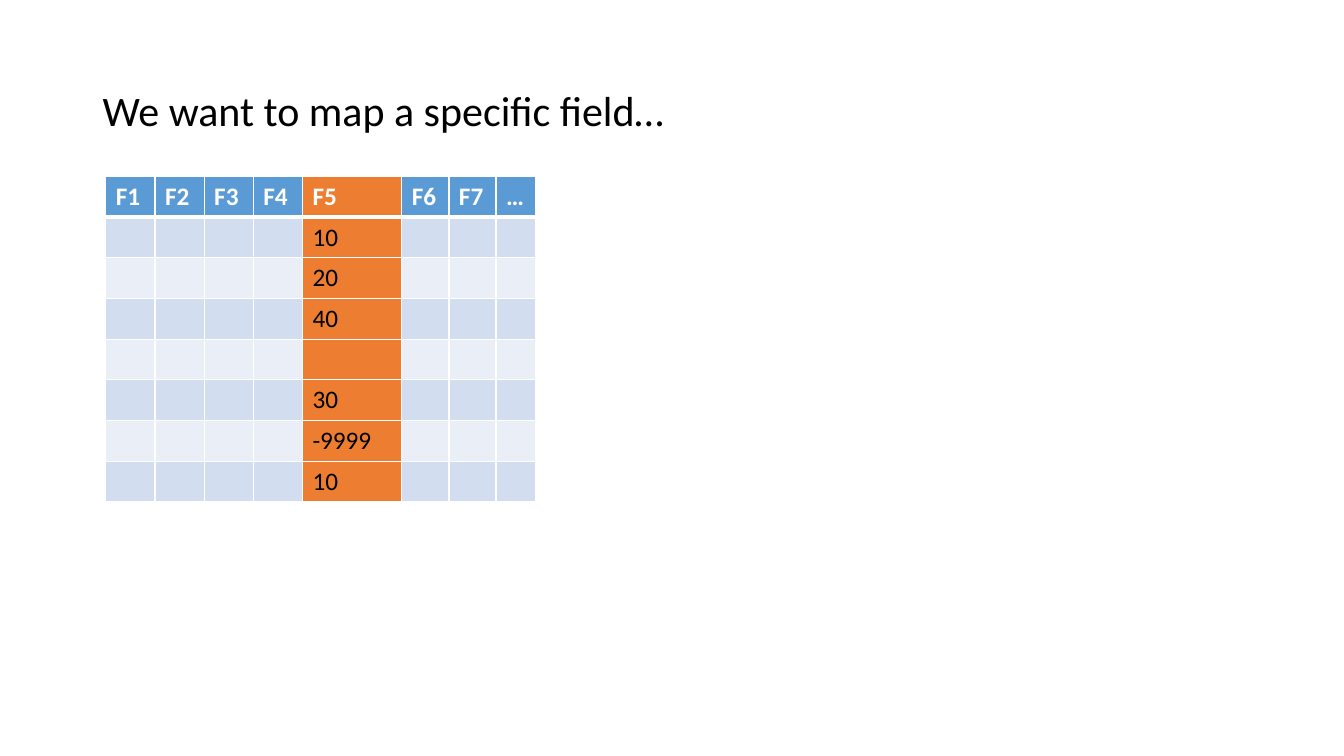
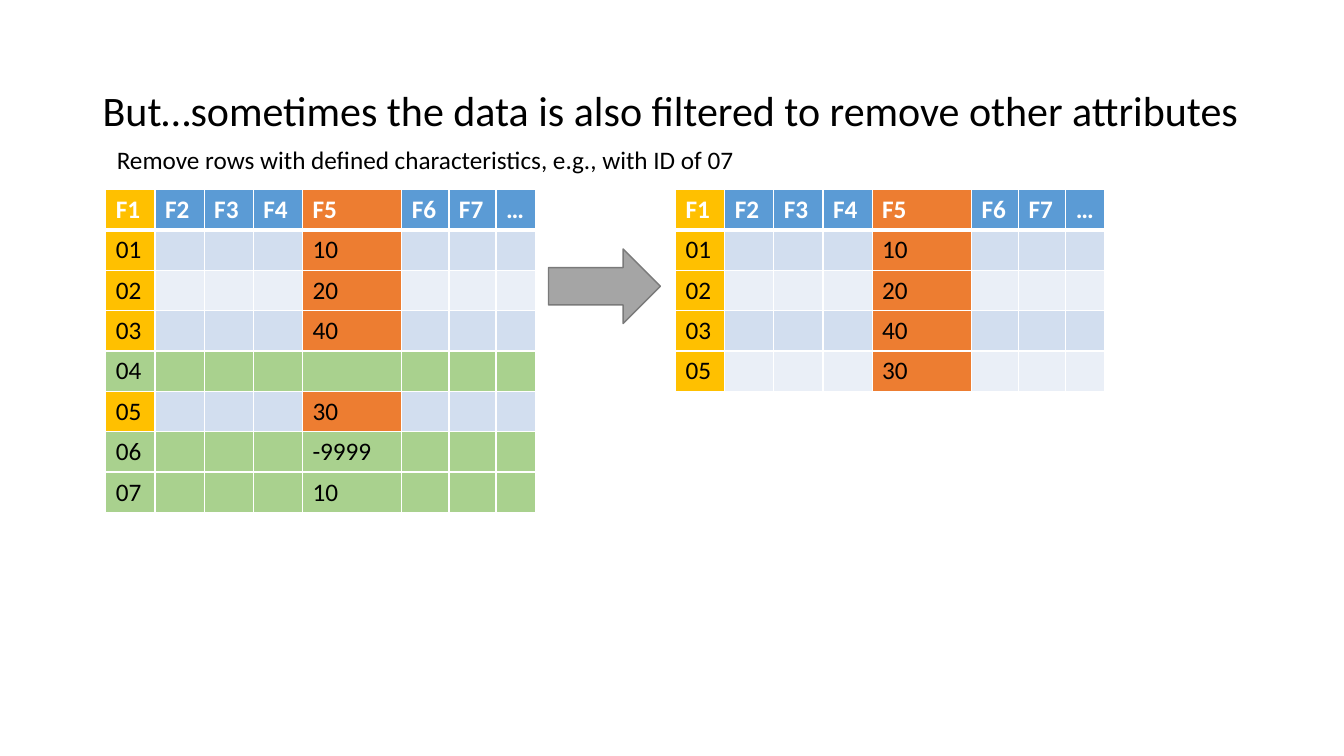
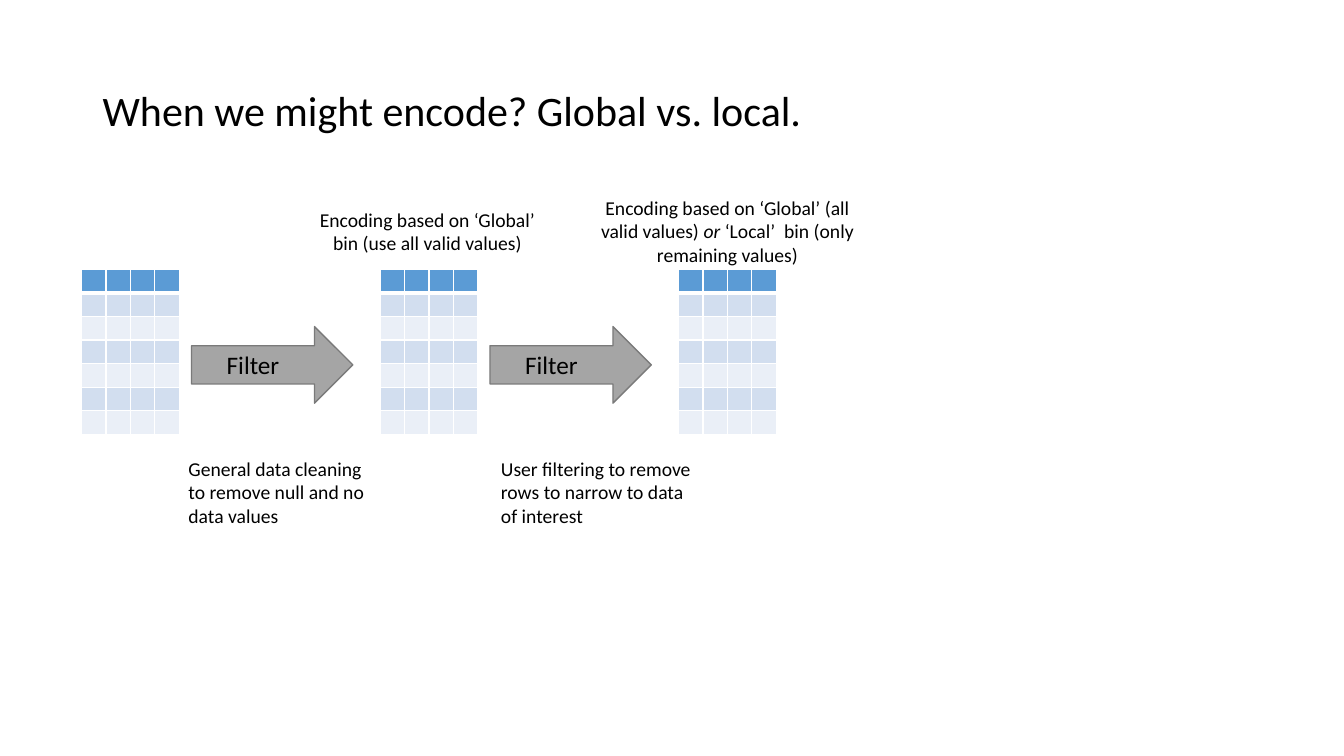
from collections import namedtuple

from lxml.etree import SubElement
from pptx import Presentation
from pptx.dml.color import RGBColor
from pptx.enum.shapes import MSO_SHAPE
from pptx.enum.text import MSO_ANCHOR, PP_ALIGN
from pptx.oxml.ns import qn
from pptx.util import Inches, Pt

# Shared look
COLORS = {
    "text": "000000", "white": "FFFFFF", "header": "5B9BD5",
    "band_dark": "D2DEEF", "band_light": "EAEFF7", "mapped": "ED7D31",
    "key": "FFC000", "removed": "A9D18E", "arrow": "A5A5A5", "arrow_line": "7A7A7A",
}
FONT = "Calibri"
TITLE_SIZE, BODY_SIZE, NOTE_SIZE, MINI_SIZE = 30, 18, 14, 8
SLIDE_WIDTH, SLIDE_HEIGHT = 13.33, 7.5

# Data table: column shares and contents
FIELDS = ["F1", "F2", "F3", "F4", "F5", "F6", "F7", "…"]
FIELD_WIDTHS = [0.49, 0.49, 0.49, 0.49, 0.99, 0.47, 0.47, 0.39]
KEY_COLUMN, MAPPED_COLUMN = 0, 4
VALUES = ["10", "20", "40", "", "30", "-9999", "10"]
IDS = [f"{number:02d}" for number in range(1, len(VALUES) + 1)]
REMOVED_IDS = {"04", "06", "07"}

Box = namedtuple("Box", "left top width height")


def within(box, left, top, width, height):
    """Place a part by its offset from the corner of a box."""
    return Box(box.left + left, box.top + top, width, height)


def lengths(box):
    return [Inches(length) for length in box]


def color(name):
    return RGBColor.from_string(COLORS[name])


def add_run(paragraph, text, size, color_name="text", bold=False, italic=False):
    run = paragraph.add_run()
    run.text = text
    font = run.font
    font.name, font.size, font.bold, font.italic = FONT, Pt(size), bold, italic
    font.color.rgb = color(color_name)


def add_text(slide, box, runs, size, align=PP_ALIGN.LEFT, anchor=MSO_ANCHOR.TOP):
    """Add a one-paragraph text box; runs are (text, italic) pairs."""
    frame = slide.shapes.add_textbox(*lengths(box)).text_frame
    frame.word_wrap = True
    frame.vertical_anchor = anchor
    paragraph = frame.paragraphs[0]
    paragraph.alignment = align
    for text, italic in runs:
        add_run(paragraph, text, size, italic=italic)
    return paragraph


def add_titled_slide(presentation, title):
    slide = presentation.slides.add_slide(presentation.slide_layouts[6])
    box = Box(0.92, 0.4, 11.5, 1.45)
    paragraph = add_text(slide, box, [(title, False)], TITLE_SIZE,
                         anchor=MSO_ANCHOR.MIDDLE)
    paragraph.line_spacing = 0.9
    return slide


def add_arrow(slide, box):
    arrow = slide.shapes.add_shape(MSO_SHAPE.RIGHT_ARROW, *lengths(box))
    arrow.shadow.inherit = False
    arrow.fill.solid()
    arrow.fill.fore_color.rgb = color("arrow")
    arrow.line.color.rgb = color("arrow_line")
    arrow.line.width = Pt(1)


def set_borders(cell, row):
    """Draw white borders, heavier between the header and the first row."""
    widths = {"a:lnL": 1, "a:lnR": 1, "a:lnT": 3 if row == 1 else 1,
              "a:lnB": 3 if row == 0 else 1}
    properties = cell._tc.get_or_add_tcPr()
    for position, (tag, width) in enumerate(widths.items()):
        line = SubElement(properties, qn(tag), w=str(Pt(width)))
        fill = SubElement(line, qn("a:solidFill"))
        SubElement(fill, qn("a:srgbClr"), val=COLORS["white"])
        properties.insert(position, line)


def add_grid(slide, box, rows, column_widths, size, fill_name):
    """Add a table; fill_name(row, column) names the fill of each cell."""
    table = slide.shapes.add_table(len(rows), len(column_widths), *lengths(box)).table
    table.horz_banding = False
    for column, width in zip(table.columns, column_widths):
        column.width = Inches(box.width * width / sum(column_widths))
    for row, texts in enumerate(rows):
        for column, text in enumerate(texts):
            cell = table.cell(row, column)
            cell.fill.solid()
            cell.fill.fore_color.rgb = color(fill_name(row, column))
            set_borders(cell, row)
            paragraph = cell.text_frame.paragraphs[0]
            if text:
                add_run(paragraph, text, size, "text" if row else "white", bold=row == 0)
            else:
                SubElement(paragraph._p, qn("a:endParaRPr"), sz=str(size * 100))


def banded_fill(row):
    if row == 0:
        return "header"
    return "band_dark" if row % 2 else "band_light"


def add_data_table(slide, box, records, show_ids=True):
    """Add the field table for (id, value) records."""
    rows = [FIELDS]
    for record_id, value in records:
        cells = [""] * len(FIELDS)
        cells[KEY_COLUMN] = record_id if show_ids else ""
        cells[MAPPED_COLUMN] = value
        rows.append(cells)

    def fill_name(row, column):
        if show_ids and rows[row][KEY_COLUMN] in REMOVED_IDS:
            return "removed"
        if column == MAPPED_COLUMN:
            return "mapped"
        if show_ids and column == KEY_COLUMN:
            return "key"
        return banded_fill(row)

    add_grid(slide, box, rows, FIELD_WIDTHS, BODY_SIZE, fill_name)


def add_mini_table(slide, box):
    rows, columns = 7, 4
    add_grid(slide, box, [[""] * columns] * rows, [1] * columns, MINI_SIZE,
             lambda row, column: banded_fill(row))


def add_filter_step(slide, box):
    add_arrow(slide, box)
    add_text(slide, within(box, 0.25, 0.18, 0.75, 0.4), [("Filter", False)], BODY_SIZE)


def build_field_slide(presentation):
    slide = add_titled_slide(presentation, "We want to map a specific field…")
    add_data_table(slide, Box(1.05, 1.75, 4.26, 3.23), zip(IDS, VALUES), show_ids=False)


def build_filter_slide(presentation):
    slide = add_titled_slide(
        presentation, "But…sometimes the data is also filtered to remove other attributes")
    add_text(slide, Box(1.06, 1.38, 8.52, 0.4),
             [("Remove rows with defined characteristics, e.g., with ID of 07", False)],
             BODY_SIZE)
    records = list(zip(IDS, VALUES))
    kept = [record for record in records if record[0] not in REMOVED_IDS]
    before = Box(1.05, 1.88, 4.26, 3.2)
    add_data_table(slide, before, records)
    add_data_table(slide, within(before, 5.65, 0, 4.26, 2), kept)
    add_arrow(slide, within(before, 4.39, 0.59, 1.11, 0.74))


def build_encoding_slide(presentation):
    slide = add_titled_slide(presentation, "When we might encode? Global vs. local.")
    # Three stages at an equal pitch, with a filter between neighbours
    stage_count, pitch = 3, 2.96
    first = Box(0.81, 2.67, 0.97, 1.64)
    for index in range(stage_count):
        stage = within(first, index * pitch, 0, first.width, first.height)
        add_mini_table(slide, stage)
        if index < stage_count - 1:
            add_filter_step(slide, within(stage, 1.09, 0.57, 1.6, 0.76))
    # Notes under the filters and over the filtered stages
    notes = [
        (Box(1.77, 4.48, 2.12, 0.81), PP_ALIGN.LEFT,
         [("General data cleaning to remove null and no data values", False)]),
        (Box(4.87, 4.48, 2.12, 0.81), PP_ALIGN.LEFT,
         [("User filtering to remove rows to narrow to data of interest", False)]),
        (Box(2.98, 2.01, 2.52, 0.57), PP_ALIGN.CENTER,
         [("Encoding based on ‘Global’ bin (use all valid values)", False)]),
        (Box(5.74, 1.89, 2.95, 0.81), PP_ALIGN.CENTER,
         [("Encoding based on ‘Global’ (all valid values) ", False), ("or ", True),
          ("‘Local’  bin (only remaining values)", False)]),
    ]
    for box, align, runs in notes:
        add_text(slide, box, runs, NOTE_SIZE, align)


def main():
    presentation = Presentation()
    presentation.slide_width = Inches(SLIDE_WIDTH)
    presentation.slide_height = Inches(SLIDE_HEIGHT)
    build_field_slide(presentation)
    build_filter_slide(presentation)
    build_encoding_slide(presentation)
    presentation.save("out.pptx")


if __name__ == "__main__":
    main()
